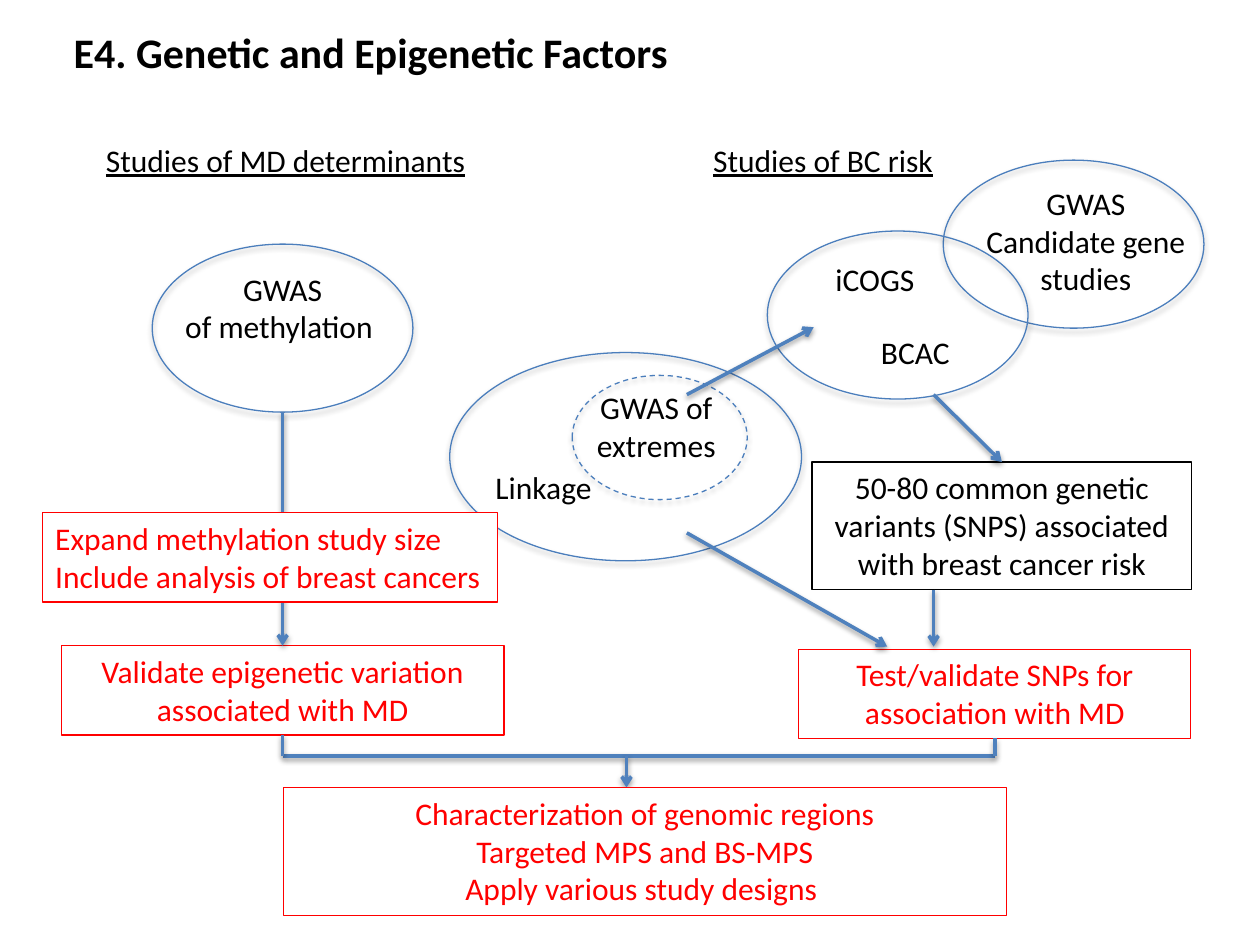
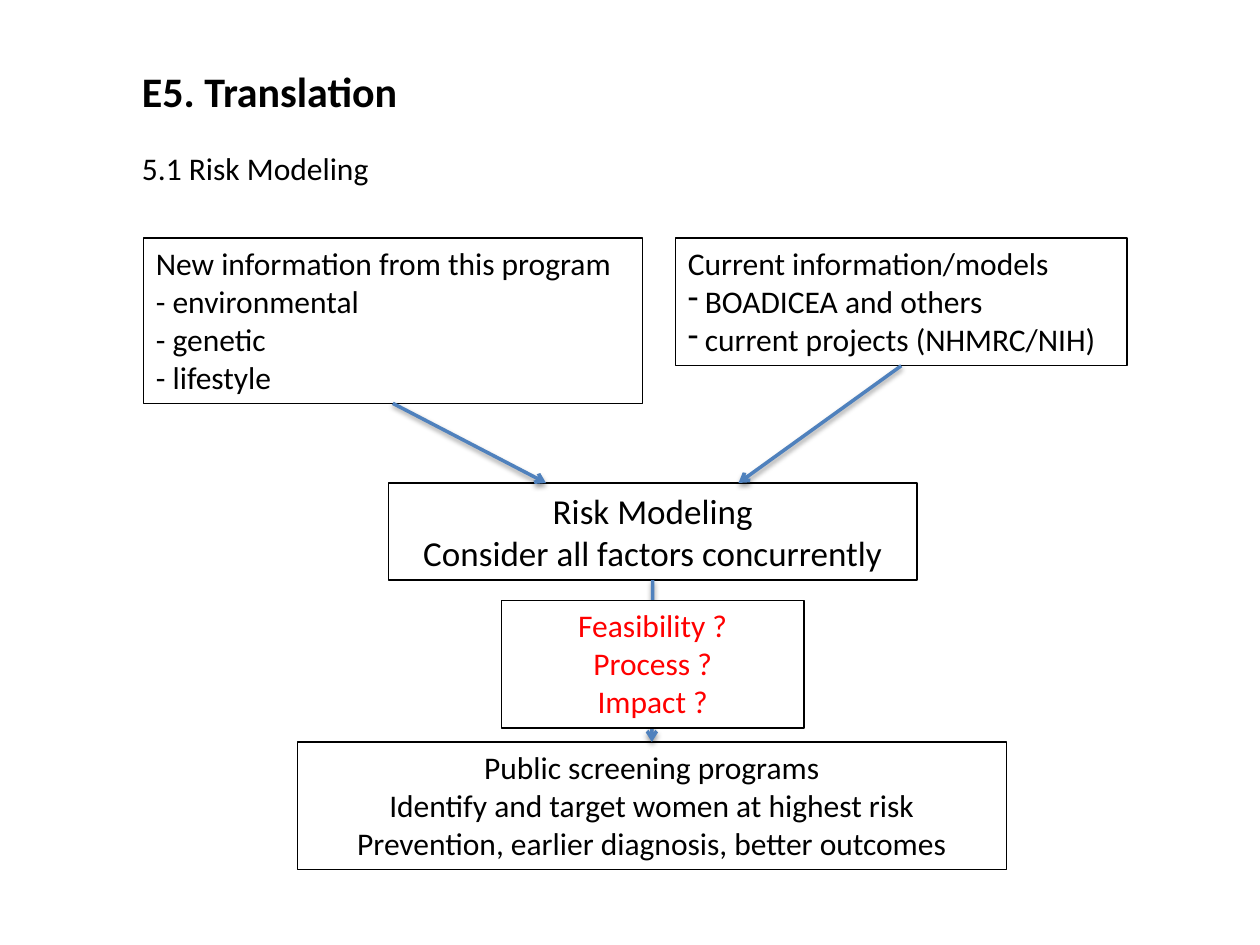
from pptx import Presentation
from pptx.dml.color import RGBColor
from pptx.enum.dml import MSO_LINE
from pptx.enum.shapes import MSO_CONNECTOR, MSO_SHAPE
from pptx.enum.text import MSO_ANCHOR, PP_ALIGN
from pptx.oxml import parse_xml
from pptx.oxml.ns import nsdecls
from pptx.oxml.xmlchemy import OxmlElement
from pptx.util import Pt

BLACK = RGBColor(0x00, 0x00, 0x00)
WHITE = RGBColor(0xFF, 0xFF, 0xFF)
RED = RGBColor(0xFF, 0x00, 0x00)
OVAL_BLUE = RGBColor(0x4B, 0x7E, 0xBC)
ARROW_BLUE = RGBColor(0x4F, 0x81, 0xBD)
LEFT, CENTER = PP_ALIGN.LEFT, PP_ALIGN.CENTER
TOP_ANCHOR = MSO_ANCHOR.TOP
RECTANGLE, OVAL = MSO_SHAPE.RECTANGLE, MSO_SHAPE.OVAL
STRAIGHT = MSO_CONNECTOR.STRAIGHT
DASH = MSO_LINE.DASH
TOP, BOTTOM = 0, 2
FONT = "Calibri"
TITLE_SIZE, BODY_SIZE, LARGE_SIZE = 24, 18, 20


class FlowDeck:
    """Holds the deck style and the slide being drawn."""

    def __init__(self):
        self.deck = Presentation()
        self.deck.slide_width, self.deck.slide_height = Pt(720), Pt(540)
        self.page = None

    def new_page(self):
        """Start a blank slide."""
        self.page = self.deck.slides.add_slide(self.deck.slide_layouts[6])

    def set_text(self, shape, lines, align, color, size, bold, underline, wrap):
        """Put one paragraph per line into a shape."""
        frame = shape.text_frame
        frame.word_wrap = wrap
        frame.vertical_anchor = TOP_ANCHOR
        frame.text = "\n".join(lines)
        for para in frame.paragraphs:
            para.alignment = align
            for span in para.runs:
                font = span.font
                font.name, font.size = FONT, Pt(size)
                font.bold, font.underline = bold, underline
                font.color.rgb = color

    def label(self, place, *lines, align=CENTER, size=BODY_SIZE,
              bold=False, underline=False, wrap=True):
        """Add plain text without an outline."""
        label = self.page.shapes.add_textbox(*map(Pt, place))
        self.set_text(label, lines, align, BLACK, size, bold, underline, wrap)

    def title(self, place, text):
        """Add the slide title."""
        self.label(place, text, align=LEFT, size=TITLE_SIZE, bold=True)

    def box(self, place, *lines, align=CENTER, color=BLACK, edge=BLACK,
            size=BODY_SIZE, wrap=True):
        """Add an outlined text box; red ones cover what lies behind."""
        box = self.page.shapes.add_shape(RECTANGLE, *map(Pt, place))
        box.shadow.inherit = False
        if color == RED:
            box.fill.solid()
            box.fill.fore_color.rgb = WHITE
        else:
            box.fill.background()
        box.line.color.rgb, box.line.width = edge, Pt(0.75)
        self.set_text(box, lines, align, color, size, False, False, wrap)
        return box

    def task(self, place, *lines, **style):
        """Add a red box for planned work."""
        return self.box(place, *lines, color=RED, edge=RED, **style)

    def dash_bullets(self, box, first):
        """Give the paragraphs from the given index on a dash bullet."""
        for para in box.text_frame.paragraphs[first:]:
            properties = para._p.get_or_add_pPr()
            properties.set("marL", str(Pt(9.7)))
            properties.set("indent", str(-Pt(9.7)))
            bullet = OxmlElement("a:buChar")
            bullet.set("char", "-")
            properties.append(bullet)

    def cast_shadow(self, shape, alpha, distance):
        """Give a shape a soft shadow straight below it."""
        properties = shape._element.spPr
        properties.append(parse_xml(
            f'<a:effectLst {nsdecls("a")}><a:outerShdw blurRad="{Pt(3.1)}" '
            f'dist="{Pt(distance)}" dir="5400000" rotWithShape="0">'
            f'<a:srgbClr val="{BLACK}"><a:alpha val="{alpha * 1000}"/>'
            '</a:srgbClr></a:outerShdw></a:effectLst>'))

    def oval(self, place, dashed=False):
        """Add an unfilled study circle."""
        oval = self.page.shapes.add_shape(OVAL, *map(Pt, place))
        oval.fill.background()
        oval.line.color.rgb, oval.line.width = OVAL_BLUE, Pt(0.75)
        if dashed:
            oval.line.dash_style = DASH
        self.cast_shadow(oval, 35, 1.8)

    def line(self, start, end, source=None, target=None, arrow=True):
        """Draw a line, joined to a source's bottom or a target's top."""
        line = self.page.shapes.add_connector(STRAIGHT, *map(Pt, start + end))
        if source is not None:
            line.begin_connect(source, BOTTOM)
        if target is not None:
            line.end_connect(target, TOP)
        line.line.color.rgb, line.line.width = ARROW_BLUE, Pt(2)
        if arrow:
            tail = OxmlElement("a:tailEnd")
            tail.set("type", "arrow")
            line.line._get_or_add_ln().append(tail)
        self.cast_shadow(line, 38, 1.6)


def genetic_factors(flow):
    """Draw the genetic and epigenetic studies."""
    flow.new_page()
    flow.title((35, 11.5, 366, 36), "E4. Genetic and Epigenetic Factors")
    for place, heading in (((53.5, 77, 222, 29), "Studies of MD determinants"),
                           ((400.5, 77, 141, 29), "Studies of BC risk")):
        flow.label(place, heading, align=LEFT, underline=True, wrap=False)

    flow.label((276, 264, 73, 29), "Linkage", align=LEFT)
    flow.label((323, 218, 104, 51), "GWAS of extremes")
    flow.label((461, 145, 78, 29), "iCOGS")
    flow.label((546, 101.5, 149, 73), "GWAS", "Candidate gene studies")
    flow.label((486, 187, 74, 29), "BCAC")
    flow.label((87, 150.5, 149, 51), "GWAS", "of methylation ")

    for left, top in ((539, 91.5), (438.5, 132), (87, 139.5)):
        flow.oval((left, top, 149, 96))
    flow.oval((257, 201.5, 201, 119))
    flow.oval((327, 214.5, 100, 71), dashed=True)

    variants = flow.box(
        (464, 264, 217, 73),
        "50-80 common genetic variants (SNPS) associated with breast cancer risk")
    validate = flow.task((35, 369, 253, 51),
                         "Validate epigenetic variation associated with MD")
    test = flow.task((456.5, 371, 224, 51),
                     "Test/validate SNPs for association with MD")

    flow.line((533.5, 225.5), (572.5, 264), target=variants)
    flow.line((392.5, 304.5), (507, 369.5))
    flow.line((533.5, 337), (533.5, 369.5))
    flow.line((392.5, 225.5), (465, 187))
    flow.line((161.5, 235.5), (161.5, 369), target=validate)

    merge = 432
    flow.line((161.5, merge), (568.5, merge), arrow=False)
    for source, center in ((validate, 161.5), (test, 568.5)):
        flow.line((center, 420), (center, merge), source=source, arrow=False)
    flow.line((358, merge), (358, 450))

    flow.task((24.5, 293, 260, 51), "Expand methylation study size",
              "Include analysis of breast cancers", align=LEFT, wrap=False)
    flow.task((162, 450, 413, 73), "Characterization of genomic regions",
              "Targeted MPS and BS-MPS", "Apply various study designs ")


def translation(flow):
    """Draw the path from risk modeling to screening."""
    flow.new_page()
    flow.title((74, 34, 200, 36), "E5. Translation")
    flow.label((74, 81.5, 162, 29), "5.1 Risk Modeling", align=LEFT)

    modeling = flow.box((222, 276, 302, 55.5), "Risk Modeling",
                        "Consider all factors concurrently", size=LARGE_SIZE)
    program = flow.box((82, 136, 285, 94.5), "New information from this program",
                       "- environmental", "- genetic", "- lifestyle", align=LEFT)
    current = flow.box((386, 136, 258, 73), "Current information/models",
                       "BOADICEA and others", "current projects (NHMRC/NIH)",
                       align=LEFT)
    flow.dash_bullets(current, 1)
    screening = flow.box((170, 424, 405, 73), "Public screening programs",
                         "Identify and target women at highest risk",
                         "Prevention, earlier diagnosis, better outcomes")

    flow.line((224.5, 230.5), (312, 276), source=program)
    flow.line((515, 209), (422, 276), source=current)
    flow.line((373, 331.5), (372.5, 424), source=modeling, target=screening)
    flow.box((286.5, 343, 173, 73), "Feasibility ?", "Process ?", "Impact ?",
             color=RED)


def main():
    """Build and save the deck."""
    flow = FlowDeck()
    genetic_factors(flow)
    translation(flow)
    flow.deck.save("out.pptx")


if __name__ == "__main__":
    main()
